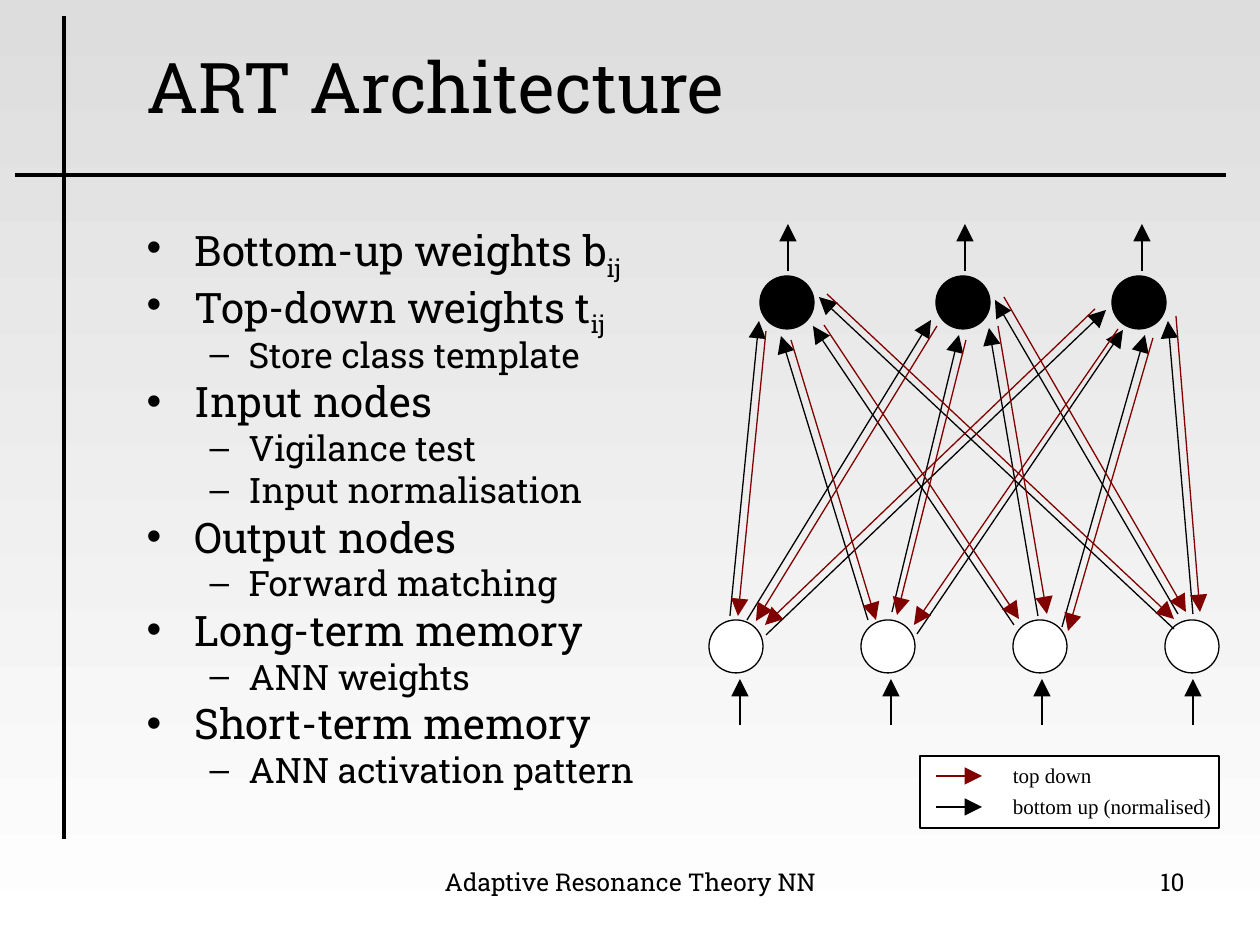
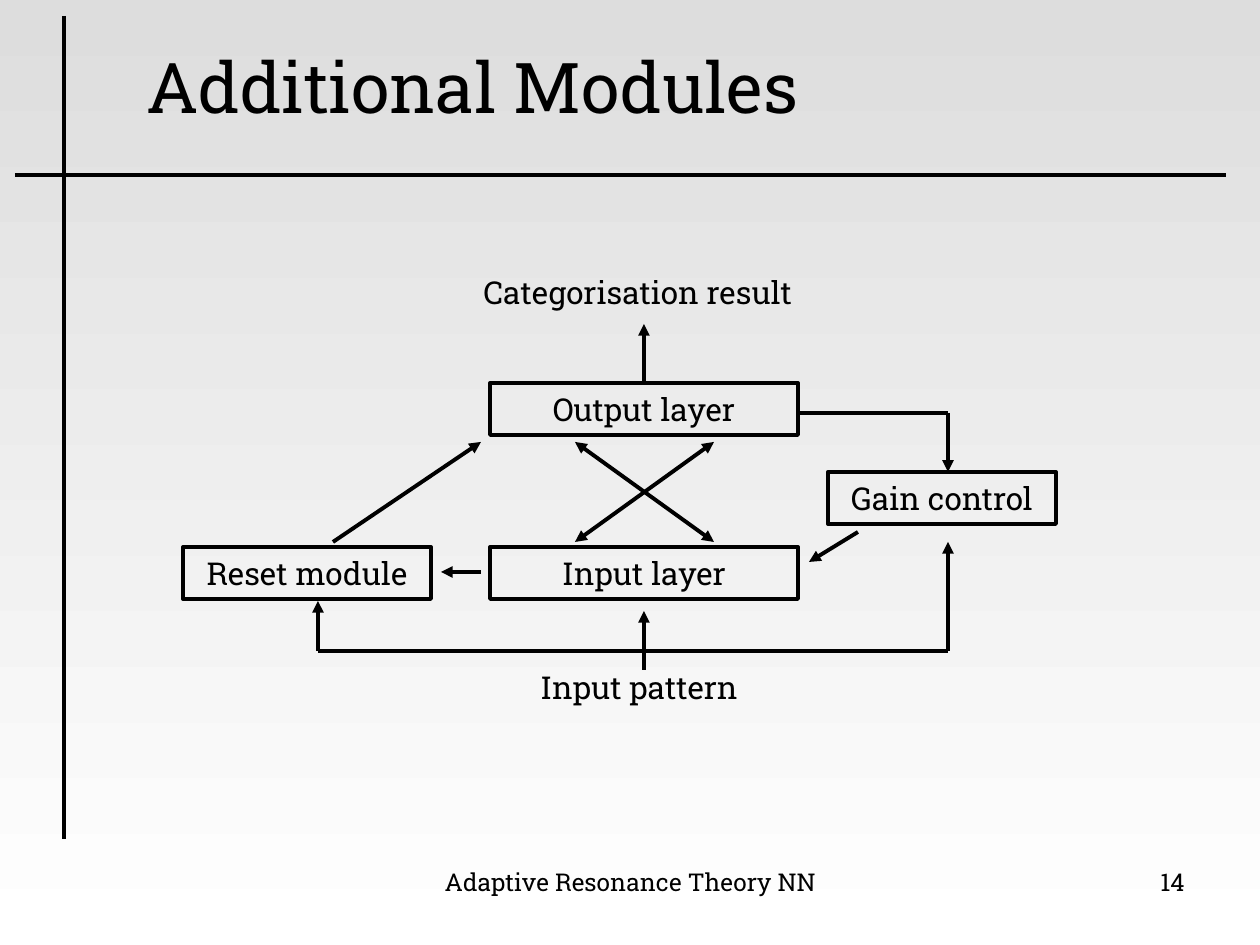
from dataclasses import dataclass

from lxml.etree import SubElement
from pptx import Presentation
from pptx.dml.color import RGBColor
from pptx.enum.shapes import MSO_CONNECTOR as LINK, MSO_SHAPE as SHAPE
from pptx.enum.text import MSO_ANCHOR as ANCHOR, MSO_AUTO_SIZE as FIT, PP_ALIGN as ALIGN
from pptx.oxml.ns import qn
from pptx.util import Emu, Pt

PX = 7257  # EMU in one px, 126 px to the inch


@dataclass(frozen=True)
class Theme:
    ink: RGBColor = RGBColor(0, 0, 0)
    paper: RGBColor = RGBColor(255, 255, 255)
    shade: RGBColor = RGBColor(0xDD, 0xDD, 0xDD)
    top_down: RGBColor = RGBColor(0x80, 0, 0)
    slab: str = "Roboto Slab"
    serif: str = "Times New Roman"
    title: int = 40
    levels: tuple = (24, 20)
    module: int = 18
    footer: int = 14
    legend: int = 12
    thick: float = 2.25
    border: float = 1.5
    thin: float = 0.75


THEME = Theme()


def write(paragraph, text, size, face=THEME.slab, **formats):
    """Add a run to a paragraph and apply paragraph formats."""
    for key, value in formats.items():
        setattr(paragraph, key, value)
    run = paragraph.add_run()
    run.text = text
    for key, value in {"size": Pt(size), "name": face}.items():
        setattr(run.font, key, value)
    run.font.color.rgb = THEME.ink
    return run


def line(slide, ends, width=THEME.thick, color=THEME.ink, heads=("tailEnd",), head_size="med"):
    """Draw a straight line; heads names the ends that carry an arrowhead."""
    link = slide.shapes.add_connector(LINK.STRAIGHT, *(n * PX for n in ends))
    link.line.width = Pt(width)
    link.line.color.rgb = color
    outline = link.line._get_or_add_ln()
    for end in heads:
        SubElement(outline, qn(f"a:{end}"), type="triangle", w=head_size, len=head_size)
    SubElement(link._element.spPr, qn("a:effectLst"))


deck = Presentation()
deck.slide_width, deck.slide_height = Emu(1260 * PX), Emu(945 * PX)

# Shared background
backdrop = deck.slide_master.background.fill
backdrop.gradient()
backdrop.gradient_angle = 270
for stop, color in zip(backdrop.gradient_stops, (THEME.shade, THEME.paper)):
    stop.color.rgb = color

# Shared rules, title and footers
pages = []
for layout, heading, number in ((1, "ART Architecture", "10"), (5, "Additional Modules", "14")):
    page = deck.slides.add_slide(deck.slide_layouts[layout])
    pages.append(page)
    for rule in ((15, 175, 1226, 175), (64, 16, 64, 839)):
        line(page, rule, heads=())
    title = page.shapes.title
    title.left, title.top, title.width, title.height = (n * PX for n in (134, 37, 1091, 97))
    title.text_frame.auto_size = FIT.NONE
    title.text_frame.vertical_anchor = ANCHOR.MIDDLE
    write(title.text_frame.paragraphs[0], heading, THEME.title, alignment=ALIGN.LEFT)
    for left, width, text, align in ((431, 399, "Adaptive Resonance Theory NN", ALIGN.CENTER),
                                     (903, 294, number, ALIGN.RIGHT)):
        footer = page.shapes.add_textbox(left * PX, 861 * PX, width * PX, 66 * PX).text_frame
        footer.word_wrap = True
        write(footer.paragraphs[0], text, THEME.footer, alignment=align)

architecture, modules = pages

# Architecture: topic list as (level, text, subscript)
topics = (
    (0, "Bottom-up weights b", "ij"),
    (0, "Top-down weights t", "ij"),
    (1, "Store class template", ""),
    (0, "Input nodes", ""),
    (1, "Vigilance test", ""),
    (1, "Input normalisation", ""),
    (0, "Output nodes", ""),
    (1, "Forward matching", ""),
    (0, "Long-term memory", ""),
    (1, "ANN weights", ""),
    (0, "Short-term memory", ""),
    (1, "ANN activation pattern", ""),
)
level_styles = (("•", 48, -48, 6), ("–", 102, -39, 5))
body = architecture.placeholders[1]
body.left, body.top, body.width, body.height = (n * PX for n in (134, 224, 605, 576))
body.text_frame.auto_size = FIT.NONE
for index, (level, text, subscript) in enumerate(topics):
    bullet, margin, indent, gap = level_styles[level]
    topic = body.text_frame.add_paragraph() if index else body.text_frame.paragraphs[0]
    properties = topic._p.get_or_add_pPr()
    properties.set("marL", str(margin * PX))
    properties.set("indent", str(indent * PX))
    SubElement(properties, qn("a:buChar"), char=bullet)
    write(topic, text, THEME.levels[level], level=level, line_spacing=0.8,
          space_before=Pt(gap if index else 0))
    if subscript:
        run = write(topic, subscript, THEME.levels[level])
        run._r.get_or_add_rPr().set("baseline", "-25000")

# Architecture: rows of nodes, each with an arrow
for count, left, step, top, fill, arrow_left, arrow_step, start, end in (
        (4, 709, 152, 620, THEME.paper, 740, 151, 725, 679),
        (3, 760, 176, 276, THEME.ink, 788, 177, 271, 224)):
    for i in range(count):
        node = architecture.shapes.add_shape(
            SHAPE.OVAL, (left + i * step) * PX, top * PX, 54 * PX, 53 * PX)
        node.shadow.inherit = False
        node.fill.solid()
        node.fill.fore_color.rgb = fill
        node.line.color.rgb = THEME.ink
        node.line.width = Pt(THEME.thin)
        x = arrow_left + i * arrow_step
        line(architecture, (x, start, x, end), THEME.thin, head_size="lg")

# Architecture: weights, grouped by output node, inputs left to right
bottom_up = (
    (730, 616, 759, 321), (868, 620, 781, 336), (1014, 625, 813, 326), (1174, 629, 819, 297),
    (747, 620, 931, 320), (892, 612, 959, 335), (1038, 616, 989, 328), (1178, 614, 995, 300),
    (766, 635, 1106, 310), (917, 634, 1123, 330), (1062, 627, 1145, 335), (1193, 614, 1168, 321),
)
top_down = (
    (766, 331, 738, 616), (791, 340, 876, 620), (824, 325, 1019, 619), (827, 294, 1174, 619),
    (937, 326, 756, 621), (966, 340, 897, 615), (998, 326, 1047, 614), (1004, 297, 1186, 612),
    (1095, 309, 765, 625), (1118, 329, 914, 625), (1153, 338, 1068, 631), (1176, 316, 1200, 612),
)
for weights, color in ((bottom_up, THEME.ink), (top_down, THEME.top_down)):
    for ends in weights:
        line(architecture, ends, THEME.thin, color, head_size="lg")

# Architecture: legend
legend = architecture.shapes.add_shape(
    SHAPE.ROUNDED_RECTANGLE, 920 * PX, 756 * PX, 299 * PX, 72 * PX)
legend.adjustments[0] = 0
legend.shadow.inherit = False
legend.fill.solid()
legend.fill.fore_color.rgb = THEME.paper
legend.line.color.rgb = THEME.ink
legend.line.width = Pt(THEME.border)
for y, text, color in ((776, "top down", THEME.top_down),
                       (807, "bottom up (normalised)", THEME.ink)):
    line(architecture, (936, y, 982, y), THEME.thin, color, head_size="lg")
    entry = architecture.shapes.add_textbox(1013 * PX, (y - 12) * PX, 204 * PX, 24 * PX).text_frame
    for key, value in {"margin_left": 0, "margin_right": 0, "margin_top": 0,
                       "margin_bottom": 0, "word_wrap": True}.items():
        setattr(entry, key, value)
    write(entry.paragraphs[0], text, THEME.legend, THEME.serif, line_spacing=0.95)

# Modules: boxes
for left, top, width, text in ((490, 547, 308, "Input layer"), (490, 383, 308, "Output layer"),
                               (828, 472, 228, "Gain control"), (183, 547, 248, "Reset module")):
    module = modules.shapes.add_shape(SHAPE.RECTANGLE, left * PX, top * PX, width * PX, 52 * PX)
    module.shadow.inherit = False
    module.fill.background()
    module.line.color.rgb = THEME.ink
    module.line.width = Pt(THEME.thick)
    module.text_frame.vertical_anchor = ANCHOR.MIDDLE
    write(module.text_frame.paragraphs[0], text, THEME.module, alignment=ALIGN.CENTER)

# Modules: input and result labels
for left, top, width, text in ((528, 662, 232, "Input pattern"),
                               (471, 267, 346, "Categorisation result")):
    label = modules.shapes.add_textbox(left * PX, top * PX, width * PX, 51 * PX).text_frame
    label.word_wrap = True
    write(label.paragraphs[0], text, THEME.module)

# Modules: signal flow by kind of line
flows = (
    (("tailEnd",), (
        (644, 670, 644, 611), (644, 383, 644, 324), (333, 542, 481, 442), (318, 651, 318, 601),
        (481, 572, 441, 572), (948, 651, 948, 542), (948, 413, 948, 472), (858, 532, 809, 562))),
    (("headEnd", "tailEnd"), ((575, 442, 714, 542), (714, 442, 575, 542))),
    ((), ((318, 651, 644, 651), (948, 651, 644, 651), (799, 413, 948, 413))),
)
for heads, routes in flows:
    for ends in routes:
        line(modules, ends, heads=heads)

deck.save("out.pptx")
